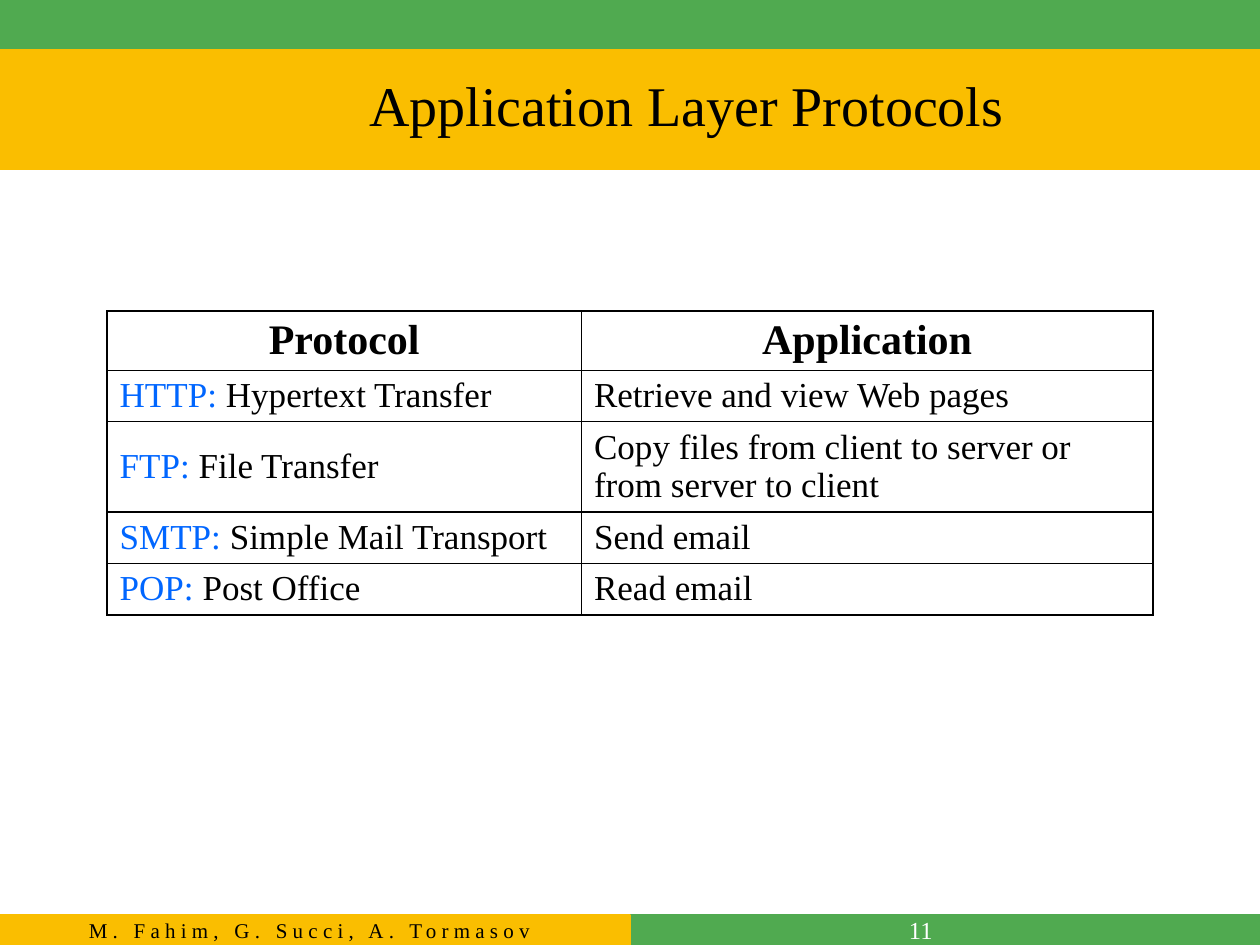
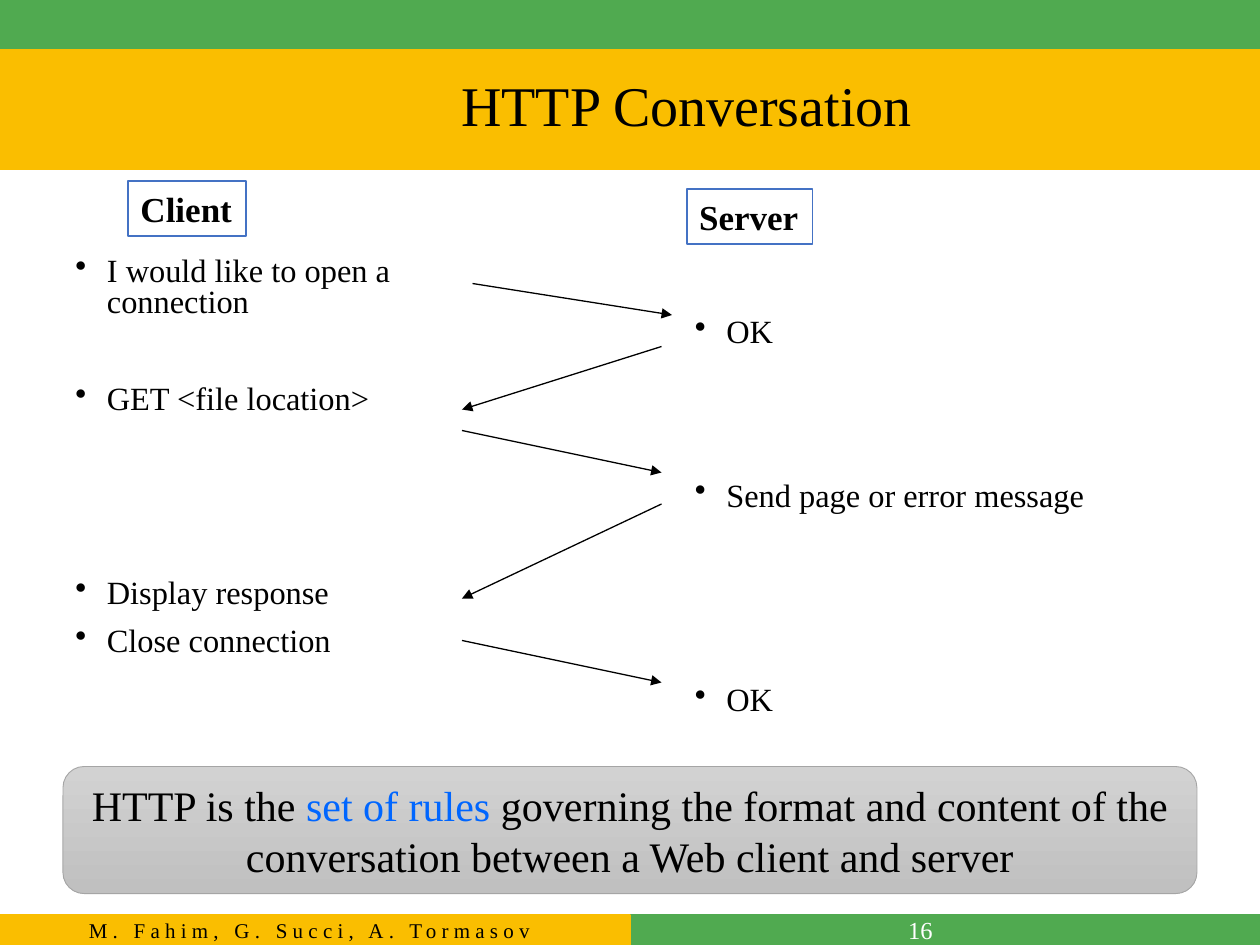
from lxml import etree
from pptx import Presentation
from pptx import util as u
from pptx.dml.color import RGBColor
from pptx.enum import shapes, text
from pptx.oxml.ns import qn

COLUMNS, ROWS = 120, 90
CELL = u.Inches(10) // COLUMNS

FONT = "Times New Roman"
GREEN, GOLD = "50AA50", "FABE00"
BLACK, WHITE, BLUE = "000000", "FFFFFF", "0066FF"
BOX_LINE, RULE_LINE = "4472C4", "A5A5A5"
LEFT, CENTER, RIGHT = text.PP_ALIGN.LEFT, text.PP_ALIGN.CENTER, text.PP_ALIGN.RIGHT
TOP, MIDDLE = text.MSO_ANCHOR.TOP, text.MSO_ANCHOR.MIDDLE


def grid(*cells):
    """Turn grid columns or rows into lengths."""
    return [u.Emu(round(cell * CELL)) for cell in cells]


def color(value):
    return RGBColor.from_string(value)


def add_run(paragraph, words, size, ink=BLACK, bold=False, tracking=0):
    run = paragraph.add_run()
    run.text = words
    run.font.name = FONT
    run.font.size = u.Pt(size)
    run.font.bold = bold
    run.font.color.rgb = color(ink)
    if tracking:
        run._r.get_or_add_rPr().set("spc", str(tracking * 100))


def write(frame, runs, size, align=LEFT, anchor=MIDDLE, wrap=True, leading=None, **style):
    """Fill a one-paragraph frame with (words, ink) runs."""
    frame.word_wrap = wrap
    frame.vertical_anchor = anchor
    paragraph = frame.paragraphs[0]
    paragraph.alignment = align
    if leading:
        paragraph.line_spacing = leading
    for words, ink in runs:
        add_run(paragraph, words, size, ink, **style)


def add_box(slide, area, fill, line, kind=shapes.MSO_SHAPE.RECTANGLE, width=1):
    """Add a shape; a pair of fill colours gives a gradient from top to bottom."""
    shape = slide.shapes.add_shape(kind, *grid(*area))
    shape.shadow.inherit = False
    if isinstance(fill, tuple):
        shape.fill.gradient()
        shape.fill.gradient_angle = 270
        for stop, value in zip(shape.fill.gradient_stops, fill):
            stop.color.rgb = color(value)
    else:
        shape.fill.solid()
        shape.fill.fore_color.rgb = color(fill)
    shape.line.color.rgb = color(line)
    shape.line.width = u.Pt(width)
    return shape


def add_text(slide, area, runs, size, **style):
    frame = slide.shapes.add_textbox(*grid(*area)).text_frame
    write(frame, runs, size, **style)


def add_slide(presentation, title, number):
    """Add a slide with the shared bands, title and footer."""
    slide = presentation.slides.add_slide(presentation.slide_layouts[6])
    half, footer_top, footer_height = COLUMNS / 2, 87.12, 2.88
    add_box(slide, (0, 0, COLUMNS, 4.8), GREEN, GREEN)
    add_box(slide, (0, 4.8, COLUMNS, 11.28), GOLD, GOLD)
    add_box(slide, (half, footer_top, half, footer_height), GREEN, GREEN)
    authors = add_box(slide, (0, footer_top, half, footer_height), GOLD, GOLD)
    write(authors.text_frame, [("M. Fahim, G. Succi, A. Tormasov ", BLACK)], 12,
          align=CENTER, tracking=3)
    add_text(slide, (19.08, 4.7, 92.64, 11.16), [(title, BLACK)], 32,
             align=CENTER, leading=0.9)
    add_text(slide, (63, footer_top, 27, footer_height), [(number, WHITE)], 14, align=RIGHT)
    return slide


def add_borders(cell):
    properties = cell._tc.get_or_add_tcPr()
    for position, side in enumerate(("lnL", "lnR", "lnT", "lnB")):
        border = etree.Element(qn(f"a:{side}"), w=str(u.Pt(1)))
        solid = etree.SubElement(border, qn("a:solidFill"))
        etree.SubElement(solid, qn("a:srgbClr"), val=BLACK)
        properties.insert(position, border)


def add_table(slide, left, top, widths, heights, headings, rows):
    """Add a ruled table; each cell below the headings is a list of runs."""
    shape = slide.shapes.add_table(len(heights), len(widths),
                                   *grid(left, top, sum(widths), sum(heights)))
    table = shape.table
    for column, width in zip(table.columns, grid(*widths)):
        column.width = width
    for row, height in zip(table.rows, grid(*heights)):
        row.height = height
    contents = [[[(heading, BLACK)] for heading in headings]] + rows
    for row_index, row in enumerate(contents):
        is_heading = row_index == 0
        for column_index, runs in enumerate(row):
            cell = table.cell(row_index, column_index)
            cell.fill.solid()
            cell.fill.fore_color.rgb = color(WHITE)
            add_borders(cell)
            cell.vertical_anchor = MIDDLE
            paragraph = cell.text_frame.paragraphs[0]
            paragraph.alignment = CENTER if is_heading else LEFT
            paragraph.line_spacing = u.Pt(26.5 if is_heading else 22)
            for words, ink in runs:
                add_run(paragraph, words, 24 if is_heading else 20, ink, bold=is_heading)


def add_bullets(slide, area, leading, items):
    """Add bullets from (words, lines left free above) pairs."""
    frame = slide.shapes.add_textbox(*grid(*area)).text_frame
    frame.word_wrap = True
    gap = 10
    for index, (words, free_lines) in enumerate(items):
        paragraph = frame.add_paragraph() if index else frame.paragraphs[0]
        paragraph.line_spacing = u.Pt(leading)
        if index:
            paragraph.space_before = u.Pt(gap + free_lines * (leading + gap))
        properties = paragraph._p.get_or_add_pPr()
        properties.set("marL", str(u.Inches(0.25)))
        properties.set("indent", str(-u.Inches(0.25)))
        etree.SubElement(properties, qn("a:buChar"), char="•")
        add_run(paragraph, words, 18.5)


def add_label(slide, area, words):
    shape = add_box(slide, area, WHITE, BOX_LINE)
    write(shape.text_frame, [(words, BLACK)], 20, wrap=False, bold=True)


def add_arrow(slide, start, end):
    arrow = slide.shapes.add_connector(shapes.MSO_CONNECTOR.STRAIGHT, *grid(*start, *end))
    arrow.line.color.rgb = color(BLACK)
    arrow.line.width = u.Pt(0.75)
    etree.SubElement(arrow.line._get_or_add_ln(), qn("a:tailEnd"), type="triangle")
    etree.SubElement(arrow._element.spPr, qn("a:effectLst"))


def build_protocols(presentation):
    slide = add_slide(presentation, "Application Layer Protocols", "11")
    protocols = [
        ("HTTP: ", "Hypertext Transfer", "Retrieve and view Web pages"),
        ("FTP: ", "File Transfer", "Copy files from client to server or from server to client"),
        ("SMTP: ", "Simple Mail Transport", "Send email"),
        ("POP: ", "Post Office", "Read email"),
    ]
    rows = [[[(short, BLUE), (name, BLACK)], [(use, BLACK)]] for short, name, use in protocols]
    add_table(slide, 10.2, 29.64, (45.18, 54.42), (5.6, 4.9, 8.6, 4.9, 4.9),
              ("Protocol", "Application"), rows)


def build_conversation(presentation):
    slide = add_slide(presentation, "HTTP Conversation", "16")
    add_bullets(slide, (6, 24, 39, 41.4), 17.7, [
        ("I would like to open a connection", 0),
        ("GET <file location>", 1),
        ("Display response", 3),
        ("Close connection", 0),
    ])
    add_bullets(slide, (65, 30.5, 53, 41.5), 13.4, [
        ("OK", 0),
        ("Send page or error message", 3),
        ("OK", 4),
    ])
    add_label(slide, (12.2, 17.25, 11.2, 5.25), "Client")
    add_label(slide, (65.4, 18, 12, 5.25), "Server")

    client, server = 44, 63
    add_arrow(slide, (client + 1, 27), (server + 1, 30))
    add_arrow(slide, (server, 33), (client, 39))
    add_arrow(slide, (client, 41), (server, 45))
    add_arrow(slide, (server, 48), (client, 57))
    add_arrow(slide, (client, 61), (server, 65))

    summary = add_box(slide, (6, 73, 108, 12.1), ("D2D2D2", "C0C0C0"), RULE_LINE,
                      shapes.MSO_SHAPE.ROUNDED_RECTANGLE, 0.5)
    write(summary.text_frame, [
        ("HTTP is the ", BLACK),
        ("set of rules ", BLUE),
        ("governing the format and content of the conversation between a Web client and server",
         BLACK),
    ], 24, align=CENTER, leading=u.Pt(29))


def main():
    presentation = Presentation()
    presentation.slide_width, presentation.slide_height = grid(COLUMNS, ROWS)
    build_protocols(presentation)
    build_conversation(presentation)
    presentation.save("out.pptx")


if __name__ == "__main__":
    main()
